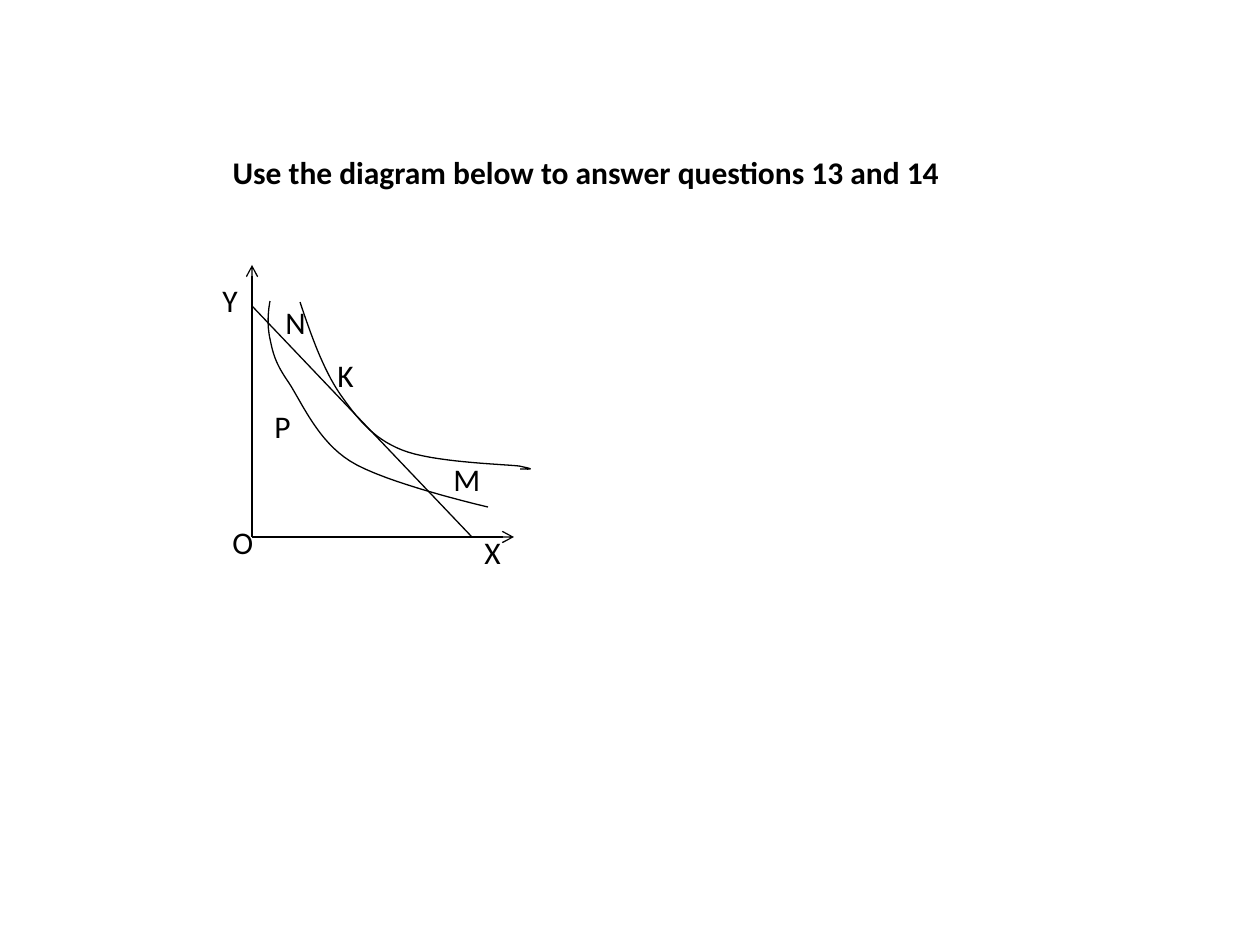
from lxml.etree import SubElement as Sub
from pptx import Presentation
from pptx.dml.color import RGBColor as RGB
from pptx.enum.shapes import MSO_CONNECTOR as Conn
from pptx.enum.text import MSO_ANCHOR as Anchor, MSO_AUTO_SIZE as Fit, PP_ALIGN as Align
from pptx.oxml.ns import qn
from pptx.util import Pt

EMU = 914400 / 126  # one px
COL = {"ink": "000000", "page": "FFFFFF"}
FONT = "Calibri"
STEPS = 16  # line pieces in each curve part

ZERO = (252, 537)  # where the axes meet
HIGH = 50  # height of a one-line box

# Start point, then two control points and an end point for each part
LOW_CURVE = [
    (270, 301),
    (268, 312), (267, 325), (270, 339),
    (273, 353), (275, 363), (289, 383),
    (302, 403), (318, 441), (350, 461),
    (384, 483), (488, 507), (488, 507),
]
TOP_CURVE = [
    (300, 302),
    (311, 335), (323, 369), (340, 394),
    (357, 418), (372, 438), (402, 450),
    (432, 462), (499, 464), (519, 466),
    (538, 470), (529, 469), (520, 469),
]

# Letter, left, top, width
MARKS = [
    ("M", 441, 454, 53),
    ("K", 325, 350, 42),
    ("N", 273, 297, 45),
    ("P", 262, 401, 42),
    ("Y", 210, 275, 40),
    ("O", 220, 517, 47),
    ("X", 472, 527, 42),
]


def px(n):
    return round(n * EMU)


def ink(line):
    line.color.rgb = RGB.from_string(COL["ink"])
    line.width = Pt(0.75)


def put_text(box, text, size=18, bold=False, color="ink"):
    frame = box.text_frame
    frame.word_wrap = False
    frame.auto_size = Fit.SHAPE_TO_FIT_TEXT
    frame.vertical_anchor = Anchor.TOP
    para = frame.paragraphs[0]
    para.alignment = Align.LEFT
    para.line_spacing = 1.0
    para.space_before = Pt(0)
    run = para.add_run()
    run.text = text
    font = run.font
    font.name, font.size, font.bold = FONT, Pt(size), bold
    font.color.rgb = RGB.from_string(COL[color])


def add_title(slide, text, x, y, w):
    box = slide.shapes.title
    box.left, box.top, box.width, box.height = map(px, (x, y, w, HIGH))
    put_text(box, text, bold=True)


def add_mark(slide, text, x, y, w):
    put_text(slide.shapes.add_textbox(px(x), px(y), px(w), px(HIGH)), text)


def add_line(slide, start, end, arrow=False):
    line = slide.shapes.add_connector(Conn.STRAIGHT, *map(px, start + end))
    ink(line.line)
    if arrow:
        Sub(line.line._get_or_add_ln(), qn("a:tailEnd"), type="arrow")
    Sub(line._element.spPr, qn("a:effectLst"))


def trace(points):
    """Points along a chain of cubic curves, in EMU."""
    for i in range(0, len(points) - 1, 3):
        part = points[i:i + 4]
        for step in range(1, STEPS + 1):
            t = step / STEPS
            u = 1 - t
            mix = (u ** 3, 3 * u * u * t, 3 * u * t * t, t ** 3)
            yield tuple(px(sum(m * p[k] for m, p in zip(mix, part))) for k in (0, 1))


def add_curve(slide, points):
    path = slide.shapes.build_freeform(*map(px, points[0]))
    path.add_line_segments(list(trace(points)), close=False)
    shape = path.convert_to_shape()
    shape.fill.background()
    shape.shadow.inherit = False
    ink(shape.line)


def main():
    prs = Presentation()
    prs.slide_width, prs.slide_height = px(1260), px(945)
    slide = prs.slides.add_slide(prs.slide_layouts[5])
    fill = slide.background.fill
    fill.solid()
    fill.fore_color.rgb = RGB.from_string(COL["page"])

    # Axes and budget line
    add_line(slide, ZERO, (252, 265), arrow=True)
    add_line(slide, ZERO, (514, 537), arrow=True)
    add_line(slide, (252, 306), (472, 537))

    # Indifference curves
    for curve in (LOW_CURVE, TOP_CURVE):
        add_curve(slide, curve)

    # Letters and heading
    for mark in MARKS:
        add_mark(slide, *mark)
    add_title(slide, "Use the diagram below to answer questions 13 and 14", 220, 147, 746)

    prs.save("out.pptx")


if __name__ == "__main__":
    main()
